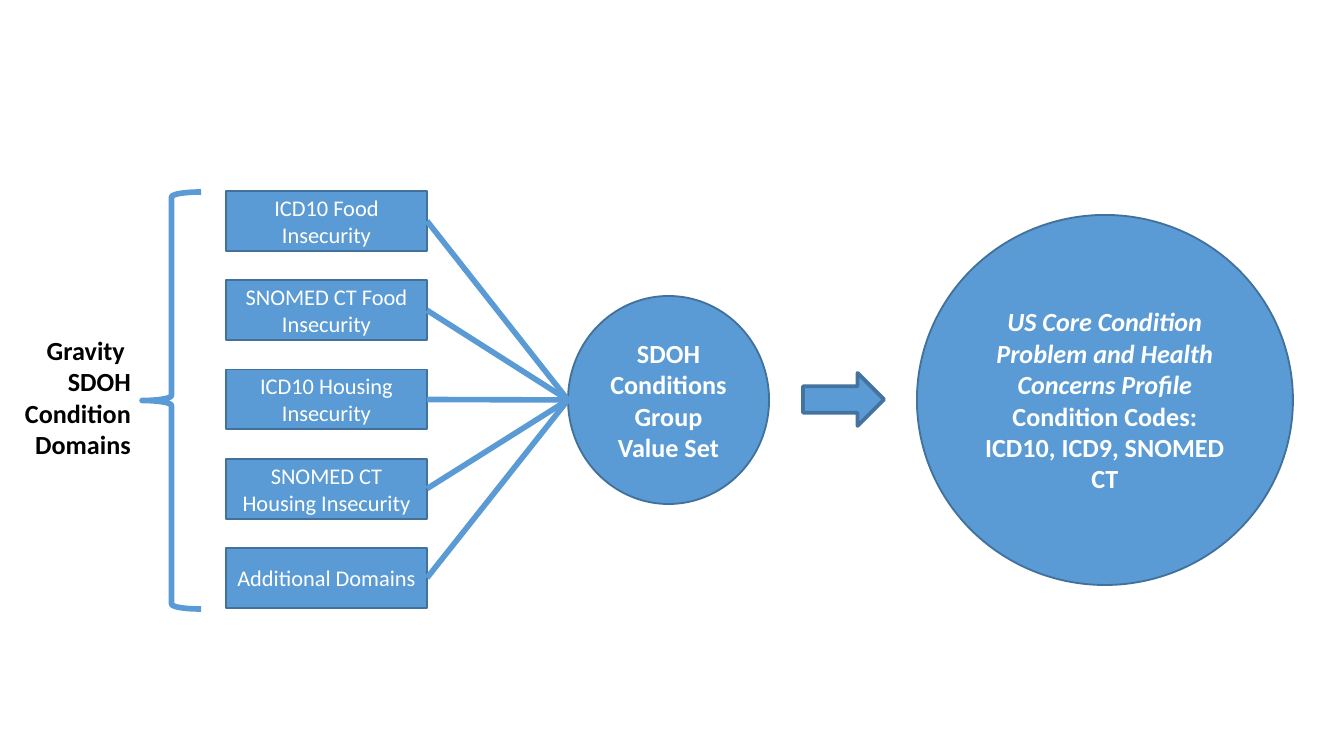
from pptx import Presentation
from pptx.dml.color import RGBColor
from pptx.enum.shapes import MSO_CONNECTOR, MSO_SHAPE
from pptx.enum.text import MSO_ANCHOR, PP_ALIGN
from pptx.util import Emu, Pt
from lxml.etree import SubElement
from pptx.oxml.ns import qn

# Content: paragraphs are lists of (text, italic) runs
GROUP_LABEL = [[("Gravity ", False)], [("SDOH Condition Domains", False)]]
DOMAINS = [
    "ICD10 Food Insecurity",
    "SNOMED CT Food Insecurity",
    "ICD10 Housing Insecurity",
    "SNOMED CT Housing Insecurity",
    "Additional Domains",
]
VALUE_SET = [[("SDOH Conditions Group Value Set", False)]]
PROFILE = [
    [("US Core Condition Problem and Health Concerns Profile ", True),
     ("Condition Codes:", False)],
    [("ICD10, ICD9, SNOMED CT", False)],
]

THEME = {
    "font": "Calibri", "body": 12, "strong": 14,
    "fill": "5B9BD5", "edge": "42719B", "arrow_edge": "43739E",
    "light": "FFFFFF", "dark": "000000",
}

# Layout in pixels: left, top, width, height
SCALE = 914400 / 134.4
LABEL_BOX = (7, 344, 134, 106)
BRACE_BOX = (142, 192, 59, 417)
VALUE_SET_BOX = (568, 296, 201, 208)
ARROW_BOX = (803, 373, 81, 53)
PROFILE_BOX = (917, 215, 376, 370)
DOMAIN_LEFT, DOMAIN_W, DOMAIN_H = 226, 201, 60
FIRST_TOP, LAST_TOP = 191, 548


def px(n):
    return Emu(round(n * SCALE))


def color(key):
    return RGBColor.from_string(THEME[key])


def write(sp, paragraphs, size="strong", ink="light", bold=True, align=PP_ALIGN.CENTER):
    tf = sp.text_frame
    tf.word_wrap = True
    tf.vertical_anchor = MSO_ANCHOR.MIDDLE
    tf.margin_left = tf.margin_right = px(10)
    tf.margin_top = tf.margin_bottom = px(5)
    for i, runs in enumerate(paragraphs):
        p = tf.paragraphs[0] if i == 0 else tf.add_paragraph()
        p.alignment = align
        for text, italic in runs:
            r = p.add_run()
            r.text = text
            r.font.name, r.font.size = THEME["font"], Pt(THEME[size])
            r.font.bold, r.font.italic = bold, italic
            r.font.color.rgb = color(ink)


def add_shape(kind, box, fill="fill", edge="edge", width=1):
    sp = slide.shapes.add_shape(kind, *map(px, box))
    sp.shadow.inherit = False
    if fill:
        sp.fill.solid()
        sp.fill.fore_color.rgb = color(fill)
    else:
        sp.fill.background()
    sp.line.color.rgb = color(edge)
    sp.line.width = Pt(width)
    return sp


prs = Presentation()
prs.slide_width, prs.slide_height = px(1344), px(756)
slide = prs.slides.add_slide(prs.slide_layouts[6])

# Group label and brace
label = slide.shapes.add_textbox(*map(px, LABEL_BOX))
write(label, GROUP_LABEL, ink="dark", align=PP_ALIGN.RIGHT)
add_shape(MSO_SHAPE.LEFT_BRACE, BRACE_BOX, fill=None, edge="fill", width=3)

# Value set circle
write(add_shape(MSO_SHAPE.OVAL, VALUE_SET_BOX), VALUE_SET)
hub_x, hub_y = VALUE_SET_BOX[0], VALUE_SET_BOX[1] + VALUE_SET_BOX[3] / 2

# Domain boxes, each joined to the circle's left point
pitch = (LAST_TOP - FIRST_TOP) / (len(DOMAINS) - 1)
for i, name in enumerate(DOMAINS):
    top = FIRST_TOP + i * pitch
    domain = add_shape(MSO_SHAPE.RECTANGLE, (DOMAIN_LEFT, top, DOMAIN_W, DOMAIN_H))
    write(domain, [[(name, False)]], size="body", bold=False)
    ends = (DOMAIN_LEFT + DOMAIN_W, top + DOMAIN_H / 2, hub_x, hub_y)
    link = slide.shapes.add_connector(MSO_CONNECTOR.STRAIGHT, *map(px, ends))
    link.line.color.rgb = color("fill")
    link.line.width = Pt(3)
    SubElement(link._element.spPr, qn("a:effectLst"))

# Arrow to the profile circle
add_shape(MSO_SHAPE.RIGHT_ARROW, ARROW_BOX, edge="arrow_edge", width=2)
write(add_shape(MSO_SHAPE.OVAL, PROFILE_BOX), PROFILE)

prs.save("out.pptx")
